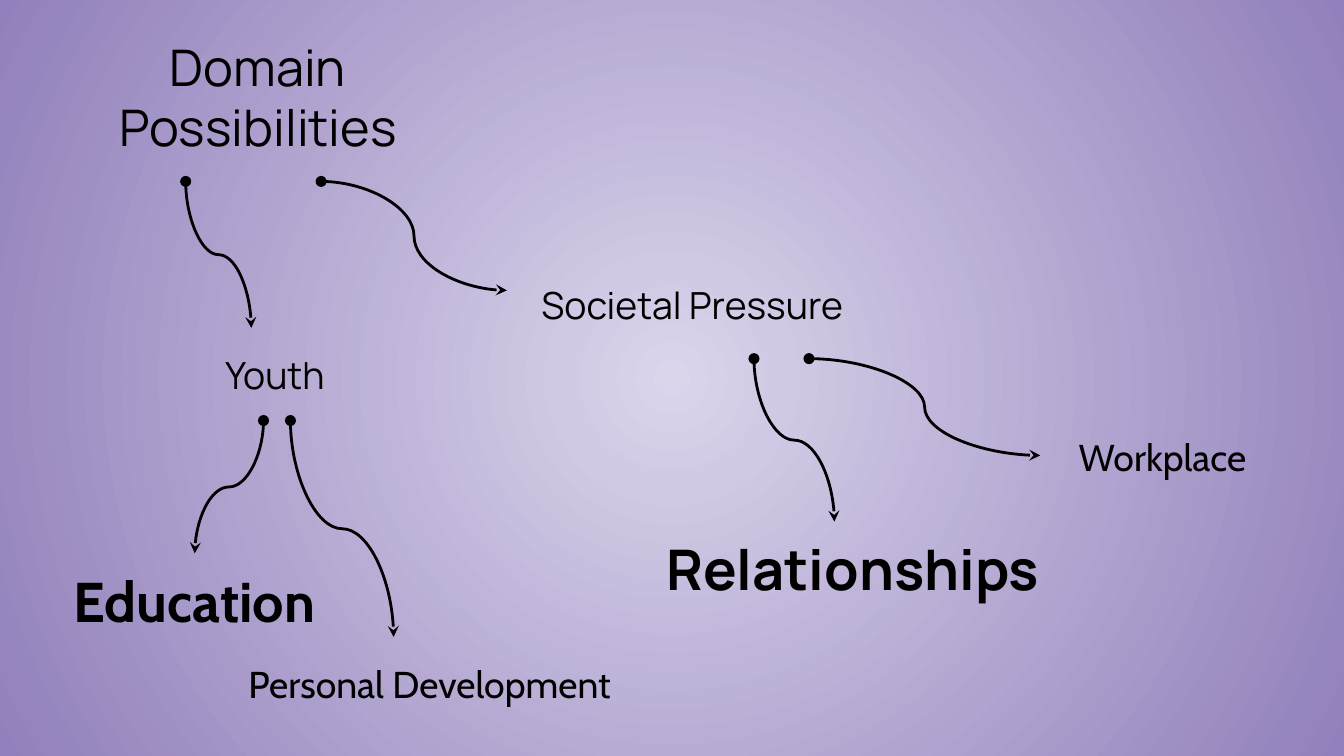
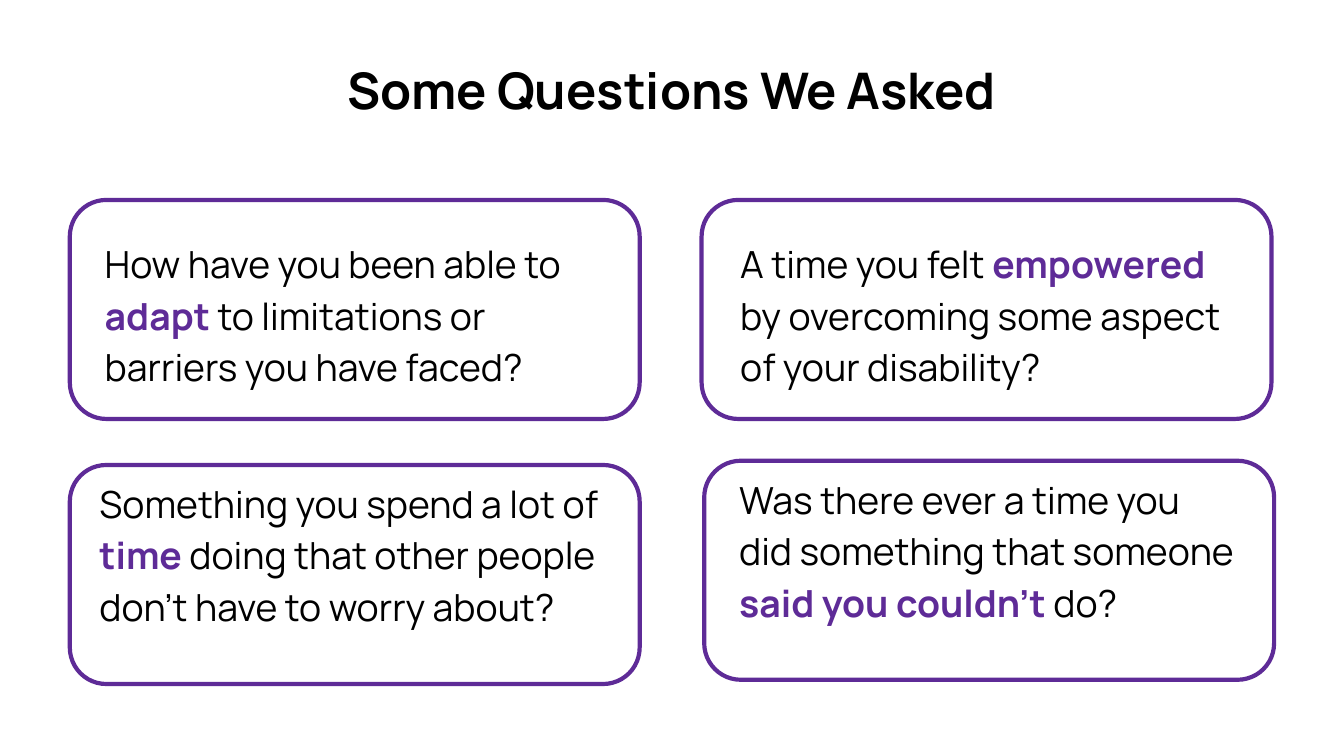
import pptx
import pptx.dml.color
import pptx.enum.shapes
import pptx.enum.text
import pptx.oxml
import pptx.oxml.ns
import pptx.util
import lxml.etree

Cm = pptx.util.Cm
Pt = pptx.util.Pt
qn = pptx.oxml.ns.qn
ALIGN = pptx.enum.text.PP_ALIGN

BLACK = pptx.dml.color.RGBColor(0x00, 0x00, 0x00)
WHITE = pptx.dml.color.RGBColor(0xFF, 0xFF, 0xFF)
PURPLE = pptx.dml.color.RGBColor(0x5E, 0x2B, 0x97)
LAVENDER = pptx.dml.color.RGBColor(0xDB, 0xD4, 0xEB)
VIOLET = pptx.dml.color.RGBColor(0x91, 0x80, 0xBB)

FRAME_FORMAT = {
    "word_wrap": True,
    "auto_size": pptx.enum.text.MSO_AUTO_SIZE.NONE,
    "vertical_anchor": pptx.enum.text.MSO_ANCHOR.TOP,
    "margin_left": Cm(0.25),
    "margin_right": Cm(0.25),
    "margin_top": Cm(0.25),
    "margin_bottom": Cm(0.25),
}
TITLE_SIZE = 27
BODY_SIZE = 20
EMPHASIS_SIZE = 30


def apply_format(target, values):
    for name, value in values.items():
        setattr(target, name, value)


def write_text(box, place, spans, size, family="Manrope", align=ALIGN.CENTER, spacing=1.0):
    left, top, width, height = (Cm(length) for length in place)
    apply_format(box, {"left": left, "top": top, "width": width, "height": height})
    apply_format(box.text_frame, FRAME_FORMAT)
    para = box.text_frame.paragraphs[0]
    apply_format(para, {"alignment": align, "line_spacing": spacing})
    for text, bold, color in spans:
        span = para.add_run()
        span.text = text
        apply_format(span.font, {"size": Pt(size), "name": family, "bold": bold})
        span.font.color.rgb = color


deck = pptx.Presentation()
apply_format(deck, {"slide_width": Cm(25.4), "slide_height": Cm(14.29)})
title_only = deck.slide_layouts[5]

page = deck.slides.add_slide(title_only)
backdrop = page.background.fill
backdrop.gradient()
for stop, color, position in zip(backdrop.gradient_stops, (LAVENDER, VIOLET), (0, 1)):
    stop.color.rgb = color
    stop.position = position
gradient = page.element.find(".//" + qn("a:gradFill"))
for linear in gradient.findall(qn("a:lin")):
    gradient.remove(linear)
circle = lxml.etree.SubElement(gradient, qn("a:path"), {"path": "circle"})
center = {"l": "50000", "t": "50000", "r": "50000", "b": "50000"}
lxml.etree.SubElement(circle, qn("a:fillToRect"), center)

write_text(page.shapes.title, (1.04, 0.43, 7.67, 2.82),
           [("Domain Possibilities", False, BLACK)], TITLE_SIZE)

topics = [
    ("Youth", (3.51, 6.4, 3.38, 1.37), BODY_SIZE, "Manrope", ALIGN.CENTER),
    ("Societal Pressure", (9.82, 5.08, 6.53, 1.37), BODY_SIZE, "Manrope", ALIGN.CENTER),
    ("Education", (0.79, 10.46, 5.77, 1.8), EMPHASIS_SIZE, "Cabin", ALIGN.CENTER),
    ("Personal Development", (3.89, 12.24, 8.46, 1.37), BODY_SIZE, "Cabin", ALIGN.CENTER),
    ("Relationships", (12.34, 9.86, 7.67, 1.8), EMPHASIS_SIZE, "Manrope", ALIGN.LEFT),
    ("Workplace", (19.66, 7.95, 4.62, 1.37), BODY_SIZE, "Cabin", ALIGN.CENTER),
]
for text, place, size, family, align in topics:
    box = page.shapes.add_textbox(0, 0, 0, 0)
    write_text(box, place, [(text, size == EMPHASIS_SIZE, BLACK)], size, family, align)

arrows = [
    ("down", 3.51, 3.43, 4.75, 6.2),
    ("across", 6.07, 3.43, 9.58, 5.49),
    ("down", 4.98, 7.95, 3.68, 10.46),
    ("down", 5.49, 7.95, 7.44, 12.04),
    ("down", 14.25, 6.78, 15.77, 9.86),
    ("across", 15.29, 6.78, 19.66, 8.61),
]
for direction, start_x, start_y, end_x, end_y in arrows:
    rotation = 0
    if direction == "down":
        side = 1 if end_x > start_x else -1
        rotation = 270 if side > 0 else 90
        middle_x, middle_y = (start_x + end_x) / 2, (start_y + end_y) / 2
        half_length = side * (end_y - start_y) / 2
        half_width = abs(end_x - start_x) / 2
        start_x, end_x = middle_x + half_length, middle_x - half_length
        start_y, end_y = middle_y - half_width, middle_y + half_width
    arrow = page.shapes.add_connector(
        pptx.enum.shapes.MSO_CONNECTOR.CURVE,
        Cm(start_x), Cm(start_y), Cm(end_x), Cm(end_y))
    arrow.line.color.rgb = BLACK
    arrow.line.width = Pt(1.5)
    properties = arrow.element.spPr
    if rotation:
        properties.find(qn("a:xfrm")).set("rot", str(rotation * 60000))
    outline = properties.find(qn("a:ln"))
    for tag, kind in (("a:headEnd", "oval"), ("a:tailEnd", "stealth")):
        lxml.etree.SubElement(outline, qn(tag), {"type": kind})
    lxml.etree.SubElement(properties, qn("a:effectLst"))

page = deck.slides.add_slide(title_only)
page.background.fill.solid()
page.background.fill.fore_color.rgb = WHITE
write_text(page.shapes.title, (0.86, 0.86, 23.67, 1.73),
           [("Some Questions We Asked", True, BLACK)], TITLE_SIZE)

questions = [
    ((1.32, 3.78), (1.73, 4.19, 9.96, 3.33),
     "How have you been able to ", "adapt", " to limitations or barriers you have faced?"),
    ((13.26, 3.78), (13.74, 4.19, 9.8, 3.33),
     "A time you felt ", "empowered", " by overcoming some aspect of your disability?"),
    ((1.32, 8.79), (1.63, 8.71, 10.19, 4.32),
     "Something you spend a lot of ", "time",
     " doing that other people don’t have to worry about?"),
    ((13.31, 8.71), (13.72, 8.64, 9.96, 4.32),
     "Was there ever a time you did something that someone ", "said you couldn’t", " do?"),
]
for (left, top), place, opening, keyword, ending in questions:
    card = page.shapes.add_shape(
        pptx.enum.shapes.MSO_SHAPE.FLOWCHART_ALTERNATE_PROCESS,
        Cm(left), Cm(top), Cm(10.77), Cm(4.14))
    card.shadow.inherit = False
    card.fill.solid()
    card.fill.fore_color.rgb = WHITE
    card.line.color.rgb = PURPLE
    card.line.width = Pt(2.25)
    box = page.shapes.add_textbox(0, 0, 0, 0)
    spans = [(opening, False, BLACK), (keyword, True, PURPLE), (ending, False, BLACK)]
    write_text(box, place, spans, BODY_SIZE, align=ALIGN.LEFT, spacing=1.15)

deck.save("out.pptx")
